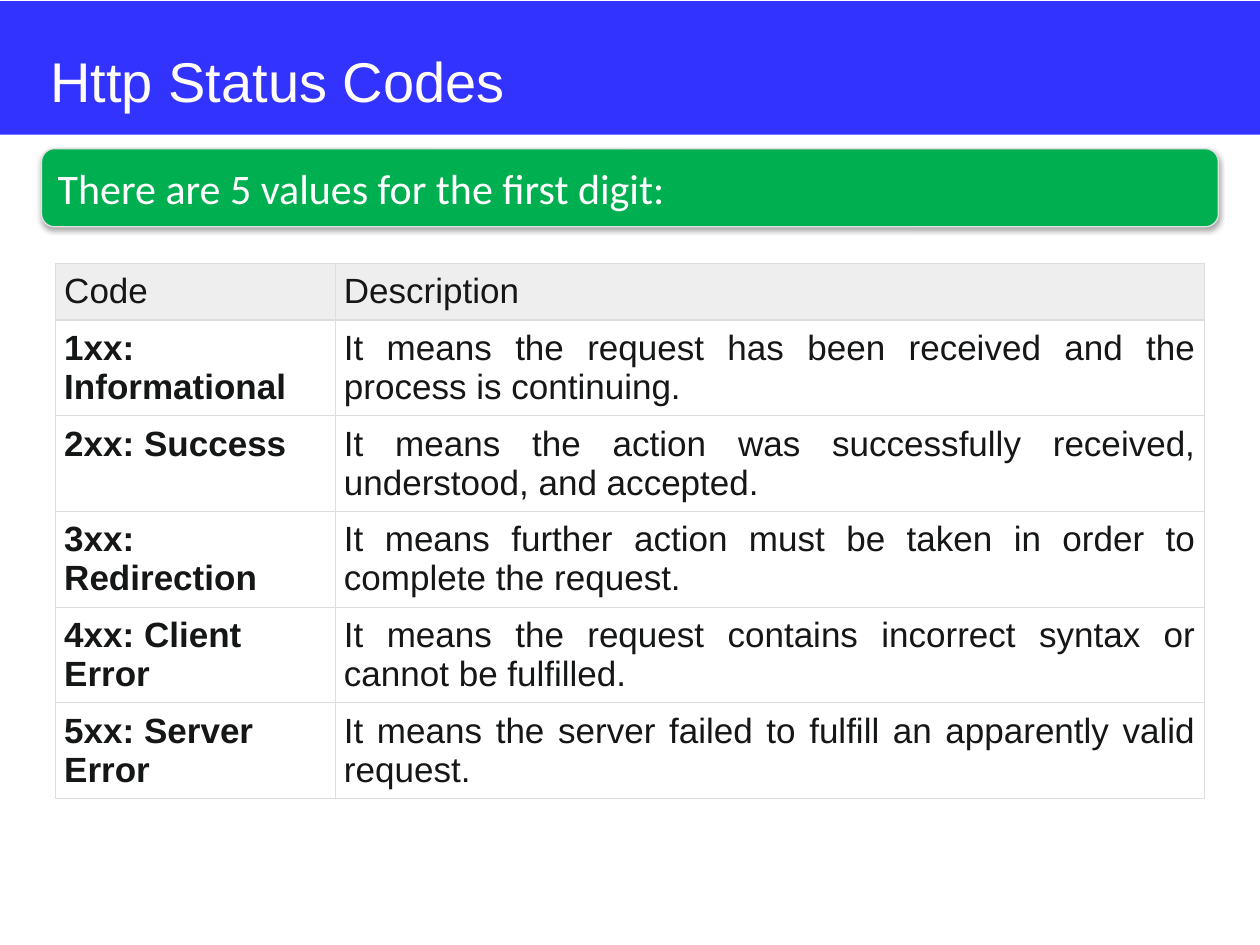
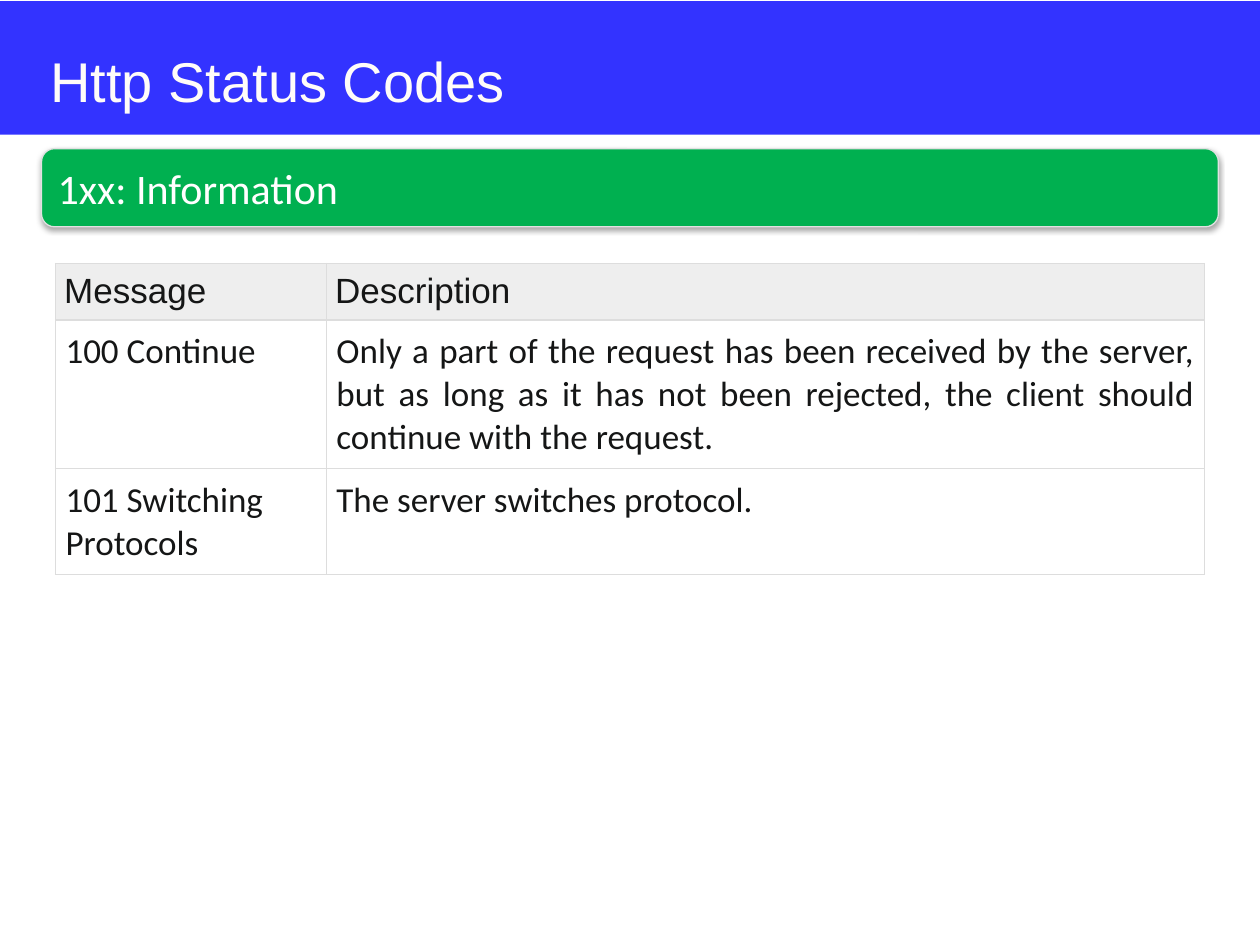
from pptx import Presentation
from pptx import util as u
from pptx.dml.color import RGBColor
from pptx.enum import shapes, text
from pptx.oxml import parse_xml
from pptx.oxml.ns import nsdecls, qn

COLOURS = {
    "band": "3333FF", "title": "FFFCF9", "banner": "00B050",
    "banner_line": "E1E1E1", "white": "FFFFFF", "header": "EEEEEE",
    "ink": "151616", "border": "DDDDDD", "shadow": "000000",
}
UNIT = u.Inches(0.1)  # the page is a grid of 100 columns by 75 rows

# Boxes in grid units: left, top, width, height
PAGE = (0, 0, 100, 75)
BAND = (0, 0.1, 100, 10.6)
TITLE = (3.3, 2.8, 93.4, 6.2)
BANNER = (3.3, 11.8, 93.4, 6.2)
TABLE = (4.4, 20.9, 91.2)  # the height follows from the rows
HEADER_ROW, BODY_ROW = 3.4, 5

TITLE_FONT = {"name": "Arial", "size": u.Pt(32), "bold": False}
BANNER_FONT = {"name": "Calibri", "size": u.Pt(24), "bold": False}
TABLE_FONT = {"name": "Arial", "size": u.Pt(20), "bold": False}

PAGES = [
    {
        "title": "Http Status Codes",
        "banner": "There are 5 values for the first digit:",
        "first_column": 22.2, "height": 44.9, "inset": 0.07,
        "key_font": {"bold": True}, "body_font": {},
        "rows": [
            ("Code", "Description"),
            ("1xx: Informational",
             "It means the request has been received and the process is continuing."),
            ("2xx: Success",
             "It means the action was successfully received, understood, and accepted."),
            ("3xx: Redirection",
             "It means further action must be taken in order to complete the request."),
            ("4xx: Client Error",
             "It means the request contains incorrect syntax or cannot be fulfilled."),
            ("5xx: Server Error",
             "It means the server failed to fulfill an apparently valid request."),
        ],
    },
    {
        "title": "Http Status Codes",
        "banner": "1xx: Information",
        "first_column": 21.5, "height": 24.7, "inset": 0.08,
        "key_font": {"name": "Calibri"}, "body_font": {"name": "Calibri"},
        "rows": [
            ("Message", "Description"),
            ("100 Continue",
             "Only a part of the request has been received by the server, but as long "
             "as it has not been rejected, the client should continue with the request."),
            ("101 Switching Protocols", "The server switches protocol."),
        ],
    },
]


def grid(*lengths):
    return [round(length * UNIT) for length in lengths]


def colour(name):
    return RGBColor.from_string(COLOURS[name])


def apply(target, **values):
    for name, value in values.items():
        setattr(target, name, value)


def write(frame, words, font, ink, align=text.PP_ALIGN.LEFT):
    para = frame.paragraphs[0]
    para.alignment = align
    span = para.add_run()
    span.text = words
    apply(span.font, **font)
    span.font.color.rgb = colour(ink)


def add_panel(page, kind, box, fill):
    panel = page.shapes.add_shape(kind, *grid(*box))
    panel.shadow.inherit = False
    panel.fill.solid()
    panel.fill.fore_color.rgb = colour(fill)
    panel.line.fill.background()
    return panel


def add_title(page, words, band_box, title_box):
    # Band behind the title
    band = add_panel(page, shapes.MSO_SHAPE.RECTANGLE, band_box, "band")
    page.shapes.title._element.addprevious(band._element)

    title = page.shapes.title
    apply(title, **dict(zip(("left", "top", "width", "height"), grid(*title_box))))
    apply(title.text_frame, auto_size=text.MSO_AUTO_SIZE.NONE,
          vertical_anchor=text.MSO_ANCHOR.BOTTOM,
          margin_left=u.Inches(0.07), margin_bottom=0)
    write(title.text_frame, words, TITLE_FONT, "title")


def add_banner(page, words, box):
    banner = add_panel(page, shapes.MSO_SHAPE.ROUNDED_RECTANGLE, box, "banner")
    banner.line.color.rgb = colour("banner_line")
    banner.line.width = u.Pt(0.75)
    # Soft shadow straight below
    effects = banner._element.spPr.find(qn("a:effectLst"))
    effects.append(parse_xml(
        f'<a:outerShdw {nsdecls("a")} blurRad="{u.Pt(3.1)}" dist="{u.Pt(1.8)}" '
        f'dir="5400000" rotWithShape="0"><a:srgbClr val="{COLOURS["shadow"]}">'
        '<a:alpha val="35000"/></a:srgbClr></a:outerShdw>'))
    apply(banner.text_frame, word_wrap=True,
          vertical_anchor=text.MSO_ANCHOR.MIDDLE)
    write(banner.text_frame, words, BANNER_FONT, "white")


def format_cell(cell, inset, fill):
    for side in ("left", "top", "right", "bottom"):
        setattr(cell, f"margin_{side}", u.Inches(inset))
    borders = cell._tc.get_or_add_tcPr()
    for edge in "LRTB":
        borders.append(parse_xml(
            f'<a:ln{edge} {nsdecls("a")} w="{u.Pt(0.75)}"><a:solidFill>'
            f'<a:srgbClr val="{COLOURS["border"]}"/></a:solidFill></a:ln{edge}>'))
    if fill:
        cell.fill.solid()
        cell.fill.fore_color.rgb = colour(fill)
    else:
        cell.fill.background()


def add_code_table(page, content, box):
    rows, first = content["rows"], content["first_column"]
    holder = page.shapes.add_table(
        len(rows), 2, *grid(*box, content["height"]))
    table = holder.table
    apply(table, first_row=False, horz_banding=False)
    for column, width in zip(table.columns, grid(first, box[2] - first)):
        column.width = width

    for row_number, row in enumerate(rows):
        header = row_number == 0
        table.rows[row_number].height = grid(HEADER_ROW if header else BODY_ROW)[0]
        for column_number, words in enumerate(row):
            cell = table.cell(row_number, column_number)
            format_cell(cell, 0.07 if header else content["inset"],
                        "header" if header else None)
            changes = content["body_font" if column_number else "key_font"]
            font = TABLE_FONT if header else {**TABLE_FONT, **changes}
            justified = column_number and not header
            write(cell.text_frame, words, font, "ink",
                  text.PP_ALIGN.JUSTIFY if justified else text.PP_ALIGN.LEFT)
    holder.height = grid(content["height"])[0]


def add_code_page(deck, content):
    page = deck.slides.add_slide(deck.slide_layouts.get_by_name("Title Only"))
    add_title(page, content["title"], BAND, TITLE)
    add_banner(page, content["banner"], BANNER)
    add_code_table(page, content, TABLE)


def main():
    deck = Presentation()
    deck.slide_width, deck.slide_height = grid(*PAGE[2:])
    for content in PAGES:
        add_code_page(deck, content)
    deck.save("out.pptx")


if __name__ == "__main__":
    main()
